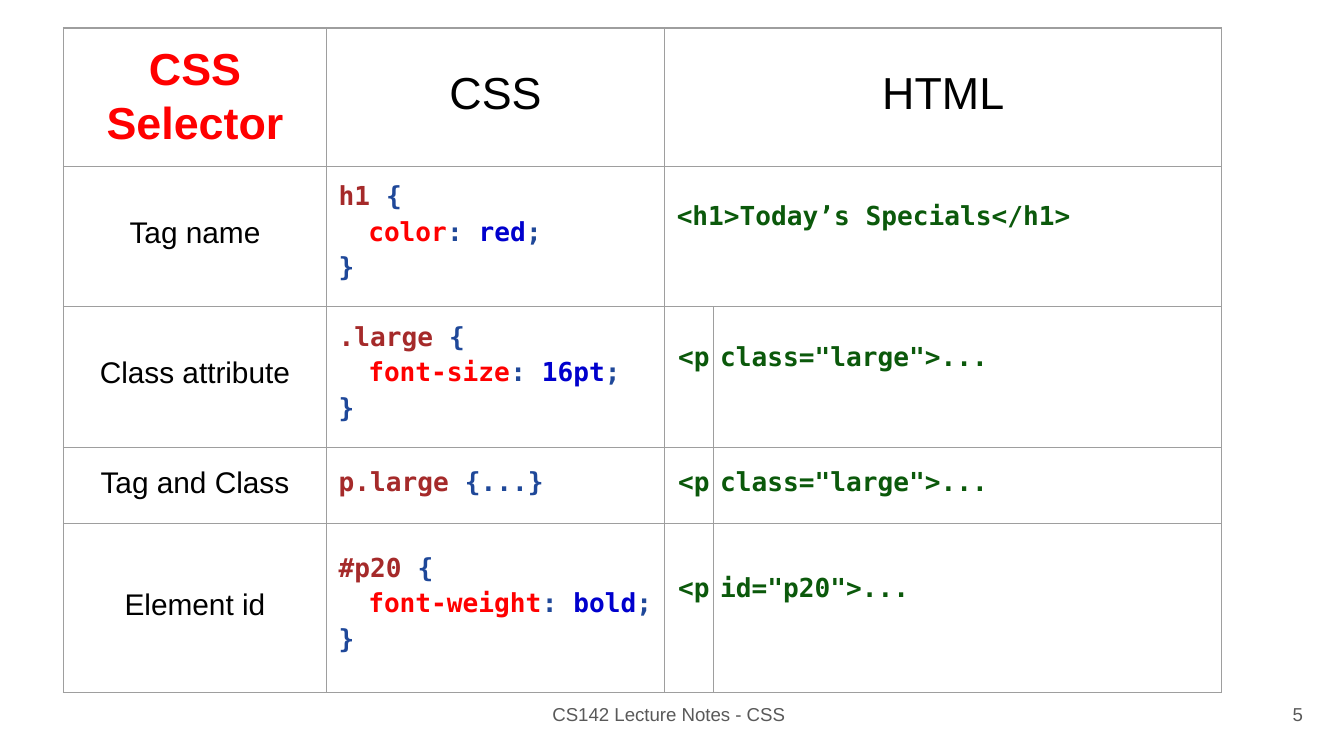
from dataclasses import dataclass
from typing import Optional

from lxml.etree import SubElement
from pptx import Presentation
from pptx.dml.color import RGBColor
from pptx.enum.text import PP_ALIGN
from pptx.oxml.ns import qn
from pptx.util import Cm, Pt

COLORS = {"border": "9E9E9E", "footer": "595959", "black": "000000", "red": "FF0000",
          "selector": "A52A2A", "punct": "1F4899", "value": "0000CD", "html": "0B590B"}
SANS, MONO = "Arial", "DejaVu Sans Mono"
COL_WIDTHS = [4.97, 6.39, 0.93, 9.6]
ROW_HEIGHTS = [2.61, 2.66, 2.66, 1.44, 3.19]


@dataclass
class Style:
    font: str
    size: float
    color: str
    bold: bool = False


@dataclass
class Header:
    text: str
    col: int
    top: float
    style: Style


@dataclass
class SelectorRow:
    name: str
    selector: str
    prop: Optional[str]
    value: Optional[str]
    html: list[str]
    tops: tuple[float, float, float]  # top margins of name, CSS and HTML in cm


LABEL = Style(SANS, 16, "black")
HEAD = Style(SANS, 24, "black")
FOOTER = Style(SANS, 10, "footer")
HTML = Style(MONO, 14, "html", True)

HEADERS = [
    Header("CSS\nSelector", 0, 0.26, Style(SANS, 24, "red", True)),
    Header("CSS", 1, 0.77, HEAD),
    Header("HTML", 2, 0.77, HEAD),
]
ROWS = [
    SelectorRow("Tag name", "h1", "color", "red",
                ["<h1>Today’s Specials</h1>"], (0.95, 0.28, 0.67)),
    SelectorRow("Class attribute", ".large", "font-size", "16pt",
                ["<p", 'class="large">...'], (0.95, 0.28, 0.67)),
    SelectorRow("Tag and Class", "p.large", None, None,
                ["<p", 'class="large">...'], (0.36, 0.36, 0.36)),
    SelectorRow("Element id", "#p20", "font-weight", "bold",
                ["<p", 'id="p20">...'], (1.23, 0.55, 0.94)),
]


def format_run(r, style: Style) -> None:
    r.font.name, r.font.size, r.font.bold = style.font, Pt(style.size), style.bold
    r.font.color.rgb = RGBColor.from_string(COLORS[style.color])


def set_text(tf, text: str, style: Style, align=PP_ALIGN.LEFT) -> None:
    tf.text = text
    for p in tf.paragraphs:
        p.alignment = align
        for r in p.runs:
            format_run(r, style)


def set_margins(cell, top: float, left: float = 0, right: float = 0) -> None:
    cell.margin_top, cell.margin_bottom = Cm(top), 0
    cell.margin_left, cell.margin_right = Cm(left), Cm(right)


def style_cell(cell) -> None:
    tcPr = cell._tc.get_or_add_tcPr()
    for side in ("a:lnL", "a:lnR", "a:lnT", "a:lnB"):
        ln = SubElement(tcPr, qn(side), w=str(Pt(0.75)))
        fill = SubElement(ln, qn("a:solidFill"))
        SubElement(fill, qn("a:srgbClr"), val=COLORS["border"])
    cell.fill.background()
    set_margins(cell, 0)


def write_css(tf, row: SelectorRow) -> None:
    if row.prop is None:
        lines = [[(row.selector + " ", "selector"), ("{...}", "punct")]]
    else:
        lines = [[(row.selector + " ", "selector"), ("{", "punct")],
                 [(row.prop, "red"), (": ", "punct"), (row.value, "value"), (";", "punct")],
                 [("}", "punct")]]
    for i, line in enumerate(lines):
        p = tf.add_paragraph() if i else tf.paragraphs[0]
        if i:
            p.space_before = Pt(2.7)
        if i == 1:
            p._p.get_or_add_pPr().set("marL", str(Cm(0.56)))
        for text, color in line:
            r = p.add_run()
            r.text = text
            format_run(r, Style(MONO, 14, color, True))


def add_footer(s, text: str, left: float, width: float) -> None:
    tf = s.shapes.add_textbox(Cm(left), Cm(13.28), Cm(width), Cm(0.46)).text_frame
    tf.word_wrap = True
    tf.margin_left = tf.margin_right = tf.margin_top = tf.margin_bottom = 0
    set_text(tf, text, FOOTER)


prs = Presentation()
prs.slide_width, prs.slide_height = Cm(25.4), Cm(14.29)
s = prs.slides.add_slide(prs.slide_layouts[6])

# Empty grid
table = s.shapes.add_table(len(ROW_HEIGHTS), len(COL_WIDTHS), Cm(1.2), Cm(0.53),
                           Cm(sum(COL_WIDTHS)), Cm(sum(ROW_HEIGHTS))).table
table.first_row = table.horz_banding = False
for column, width in zip(table.columns, COL_WIDTHS):
    column.width = Cm(width)
for table_row, height in zip(table.rows, ROW_HEIGHTS):
    table_row.height = Cm(height)
    for cell in table_row.cells:
        style_cell(cell)
for i in (0, 1):
    table.cell(i, 2).merge(table.cell(i, 3))

# Header row
for header in HEADERS:
    cell = table.cell(0, header.col)
    set_margins(cell, header.top)
    set_text(cell.text_frame, header.text, header.style, PP_ALIGN.CENTER)
for p in table.cell(0, 0).text_frame.paragraphs:
    p.line_spacing = Pt(28.6)

# Selector rows
for i, row in enumerate(ROWS, start=1):
    name, css, *html = (table.cell(i, j) for j in range(4))
    name_top, css_top, html_top = row.tops
    set_margins(name, name_top)
    set_text(name.text_frame, row.name, LABEL, PP_ALIGN.CENTER)
    set_margins(css, css_top, left=0.23)
    write_css(css.text_frame, row)
    if len(row.html) == 1:
        set_margins(html[0], html_top, left=0.23)
        set_text(html[0].text_frame, row.html[0], HTML)
    else:
        set_margins(html[0], html_top, right=0.08)
        set_text(html[0].text_frame, row.html[0], HTML, PP_ALIGN.RIGHT)
        set_margins(html[1], html_top, left=0.12)
        set_text(html[1].text_frame, row.html[1], HTML)

# Footer and page number
add_footer(s, "CS142 Lecture Notes - CSS", 10.44, 4.6)
add_footer(s, "5", 24.43, 0.5)

prs.save("out.pptx")
